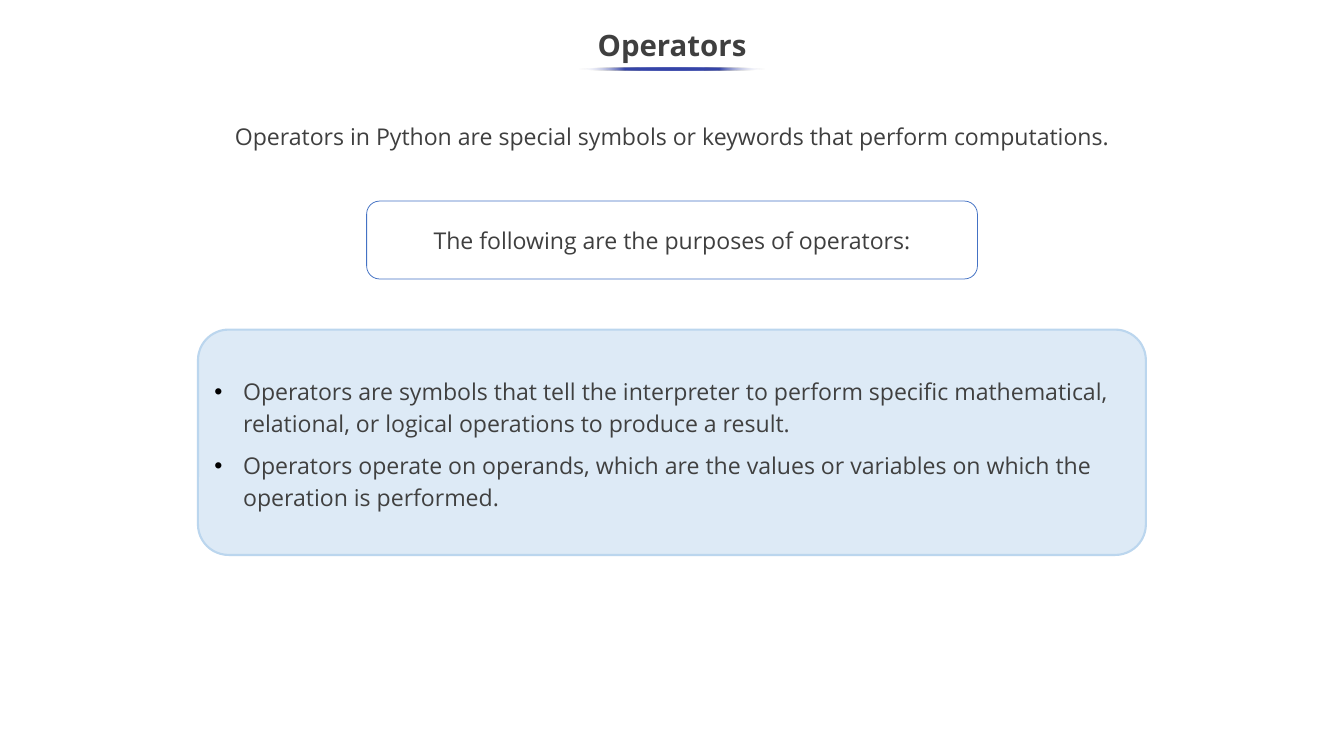
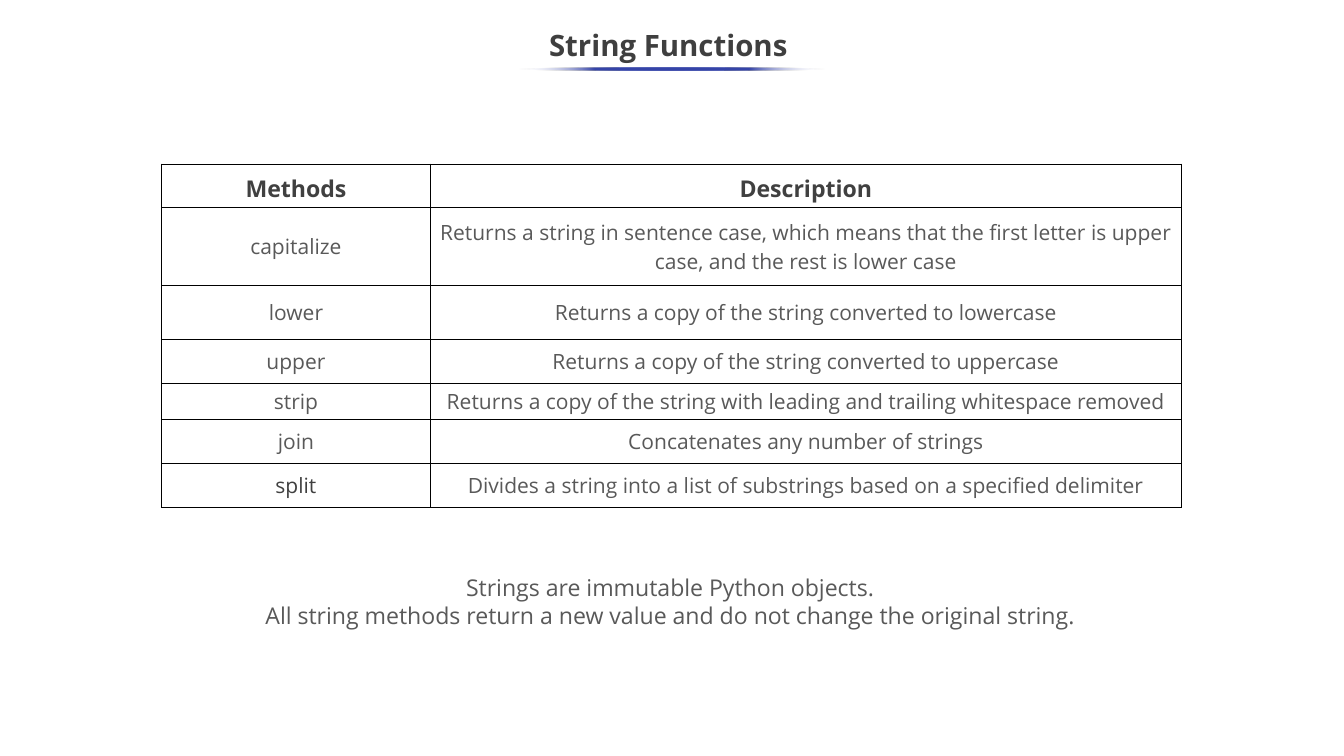
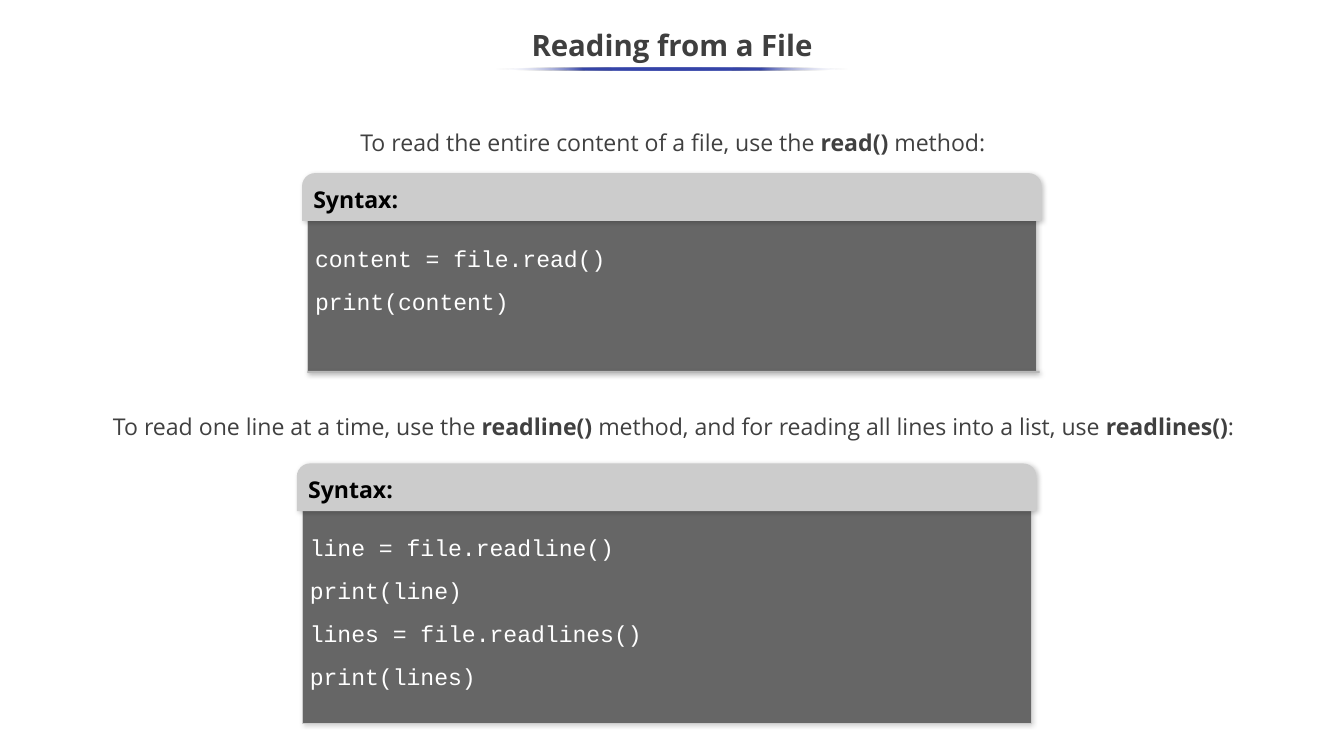
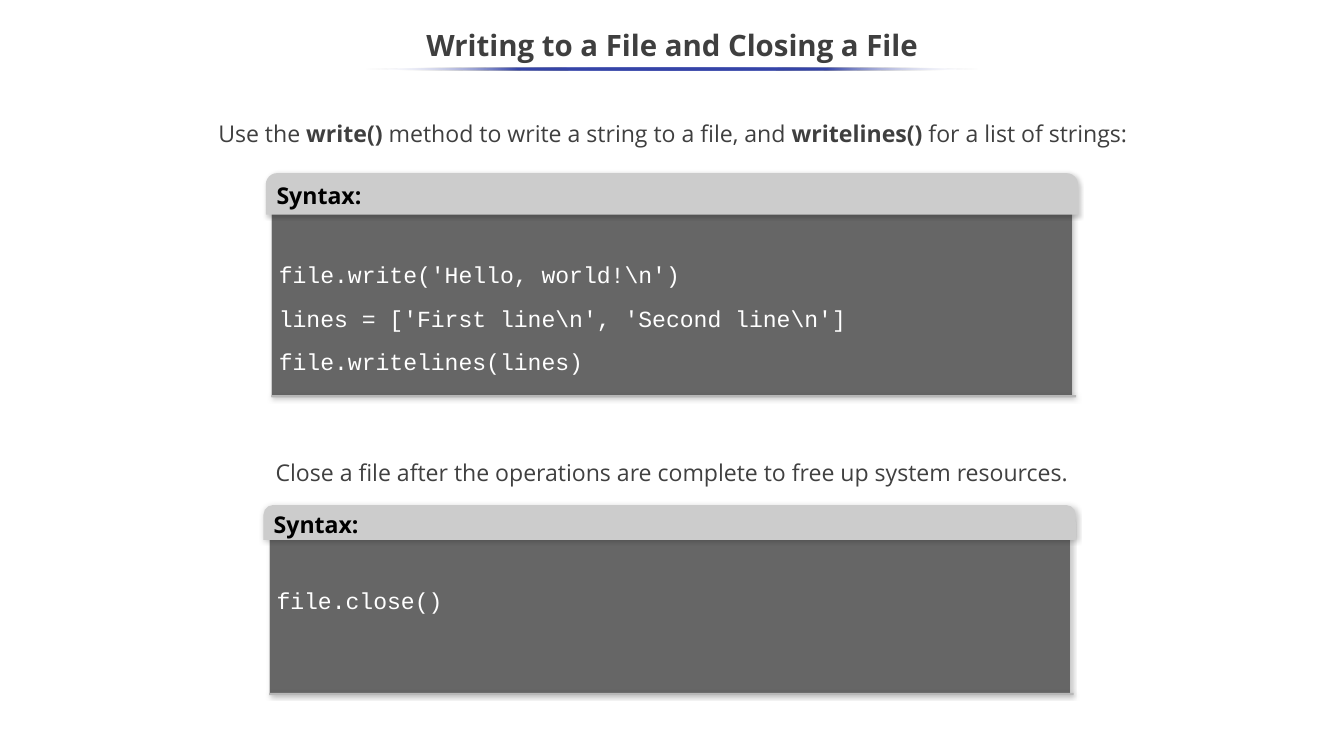
"""Build four slides on Python operators, string methods and file handling."""
from lxml import etree
from pptx import Presentation
from pptx.dml.color import RGBColor
from pptx.enum.shapes import MSO_SHAPE
from pptx.enum.text import MSO_ANCHOR, MSO_AUTO_SIZE, PP_ALIGN
from pptx.oxml.ns import qn
from pptx.util import Pt

TITLE_INK = RGBColor(0x3F, 0x3F, 0x3F)
INK = RGBColor(0x40, 0x40, 0x40)
SOFT_INK = RGBColor(0x59, 0x59, 0x59)
BLACK = RGBColor(0, 0, 0)
WHITE = RGBColor(255, 255, 255)
RULE_BLUE = RGBColor(0x36, 0x45, 0xA9)
OUTLINE_BLUE = RGBColor(0x44, 0x72, 0xC4)
PANEL_BLUE = RGBColor(0xDD, 0xEA, 0xF6)
PANEL_EDGE = RGBColor(0xBB, 0xD6, 0xEE)
CODE_GRAY = RGBColor(0x66, 0x66, 0x66)
HEADER_GRAY = RGBColor(0xCC, 0xCC, 0xCC)
FOOT_GRAY = RGBColor(0xB7, 0xB7, 0xB7)
CENTER, LEFT = PP_ALIGN.CENTER, PP_ALIGN.LEFT
MIDDLE, TOP = MSO_ANCHOR.MIDDLE, MSO_ANCHOR.TOP
NO_AUTOFIT = MSO_AUTO_SIZE.NONE
RECTANGLE, ELLIPSE = MSO_SHAPE.RECTANGLE, MSO_SHAPE.OVAL
ROUNDED, TOP_ROUNDED = MSO_SHAPE.ROUNDED_RECTANGLE, MSO_SHAPE.ROUND_2_SAME_RECTANGLE
SANS, MONO = "Open Sans", "Courier New"
PAGE_WIDTH, PAGE_HEIGHT = 1280.16, 720

OPERATORS_INTRO = "Operators in Python are special symbols or keywords that perform computations."
OPERATORS_LEAD = "The following are the purposes of operators:"
PURPOSES = [
    "Operators are symbols that tell the interpreter to perform specific mathematical, "
    "relational, or logical operations to produce a result.",
    "Operators operate on operands, which are the values or variables on which the "
    "operation is performed.",
]
METHODS = [
    ("Methods", "Description"),
    ("capitalize", "Returns a string in sentence case, which means that the first letter "
                   "is upper case, and the rest is lower case"),
    ("lower", "Returns a copy of the string converted to lowercase"),
    ("upper", "Returns a copy of the string converted to uppercase"),
    ("strip", "Returns a copy of the string with leading and trailing whitespace removed"),
    ("join", "Concatenates any number of strings"),
    ("split", "Divides a string into a list of substrings based on a specified delimiter"),
]
COLUMN_WIDTHS = [255.6, 715.7]
ROW_HEIGHTS = [41.8, 74.2, 51.1, 41.8, 20.2, 41.8, 41.8]
STRING_NOTES = [
    "Strings are immutable Python objects.",
    "All string methods return a new value and do not change the original string.",
]
FILE_SLIDES = [
    {"title": "Reading from a File", "rule": 335.5, "parts": [
        {"text": "To read the entire content of a file, use the |read()| method:",
         "text_box": (101.5, 118.8, 1078.6, 71.3), "inset": 0, "ink": INK,
         "panel": (293, 178.6, 694, 175.7), "header": (164.9, 45.4), "foot": True,
         "code_top": 225.4, "code": ["content = file.read()", "print(content)"]},
        {"text": "To read one line at a time, use the |readline()| method, and for "
                 "reading all lines into a list, use |readlines()|:",
         "text_box": (77.8, 385.2, 1127.5, 36), "inset": 3.6, "ink": INK,
         "panel": (288, 455, 694, 234), "header": (441.4, 45.4), "foot": False,
         "code_top": 500.4, "code": ["line = file.readline()", "print(line)",
                                     "lines = file.readlines()", "print(lines)"]},
    ]},
    {"title": "Writing to a File and Closing a File", "rule": 585.4, "parts": [
        {"text": "Use the |write() |method to write a string to a file, and "
                 "|writelines()| for a list of strings:",
         "text_box": (101.5, 109.4, 1078.6, 71.3), "inset": 0, "ink": TITLE_INK,
         "panel": (258.5, 180, 763.2, 197.3), "header": (164.9, 39.6), "foot": True,
         "code_top": 241.2, "code": [r"file.write('Hello, world!\n')",
                                     r"lines = ['First line\n', 'Second line\n']",
                                     "file.writelines(lines)"]},
        {"text": "Close a file after the operations are complete to free up system resources.",
         "text_box": (127.4, 429.1, 1025.3, 36), "inset": 3.6, "ink": INK,
         "panel": (256.3, 493.9, 763.2, 167), "header": (481, 33.1), "foot": True,
         "code_top": 551, "code": ["file.close()"]},
    ]},
]


def points(*lengths):
    """Turn numbers into point lengths."""
    return [Pt(length) for length in lengths]


def add_element(parent, tag, **attributes):
    """Append a DrawingML element."""
    return etree.SubElement(parent, qn(tag), {name: str(value) for name, value in attributes.items()})


def write(frame, lines, size=22, ink=INK, font=SANS, bold=False, align=CENTER,
          anchor=MIDDLE, spacing=None, before=0, inset=3.6, bullet=False):
    """Fill a text frame; parts between bars are bold."""
    frame.word_wrap = True
    frame.auto_size = NO_AUTOFIT
    frame.vertical_anchor = anchor
    frame.margin_top = frame.margin_bottom = Pt(inset)
    frame.margin_left = frame.margin_right = Pt(7.2)
    write_paragraphs(frame, lines, size, ink, font, bold, align, spacing, before, bullet)


def write_paragraphs(frame, lines, size=22, ink=INK, font=SANS, bold=False, align=CENTER,
                     spacing=None, before=0, bullet=False):
    """Write formatted paragraphs into a text frame."""
    for index, line in enumerate(lines):
        para = frame.add_paragraph() if index else frame.paragraphs[0]
        para.alignment = align
        if spacing:
            para.line_spacing = spacing
        para.space_before = Pt(before if index else 0)
        if bullet:
            properties = para._p.get_or_add_pPr()
            properties.set("marL", str(Pt(27.4)))
            properties.set("indent", str(-Pt(27.4)))
            add_element(add_element(properties, "a:buClr"), "a:srgbClr", val=BLACK)
            add_element(properties, "a:buFont", typeface="Arial")
            add_element(properties, "a:buChar", char="•")
        for part, text in enumerate(line.split("|")):
            span = para.add_run()
            span.text = text
            span.font.name, span.font.size = font, Pt(size)
            span.font.bold = bold or part % 2 == 1
            span.font.color.rgb = ink


def add_box(shapes, kind, place, fill=None, line=None, line_width=0.75, corners=(), shadow=False):
    """Draw a preset shape."""
    box = shapes.add_shape(kind, *points(*place))
    box.shadow.inherit = False
    for index, corner in enumerate(corners):
        box.adjustments[index] = corner
    if fill is None:
        box.fill.background()
    else:
        box.fill.solid()
        box.fill.fore_color.rgb = fill
    if line is None:
        box.line.fill.background()
    else:
        box.line.color.rgb = line
        box.line.width = Pt(line_width)
    if shadow:
        effects = box._element.spPr.find(qn("a:effectLst"))
        outer = add_element(effects, "a:outerShdw", blurRad=Pt(4.5), dist=Pt(1.5),
                            dir=47 * 60000, algn="tl", rotWithShape=0)
        add_element(add_element(outer, "a:srgbClr", val=BLACK), "a:alpha", val=20000)
    return box


def add_text(shapes, place, lines, **style):
    """Add a text box."""
    write(shapes.add_textbox(*points(*place)).text_frame, lines, **style)


def add_rule(page, width):
    """Draw the fading line below the title."""
    rule = add_box(page.shapes, ELLIPSE, ((PAGE_WIDTH - width) / 2, 64.1, width, 2.9))
    properties = rule._element.spPr
    gradient = etree.Element(qn("a:gradFill"), rotWithShape="1")
    stops = add_element(gradient, "a:gsLst")
    for position in range(0, 101, 25):
        faded = position in (0, 100)
        stop = add_element(stops, "a:gs", pos=position * 1000)
        color = add_element(stop, "a:srgbClr", val=WHITE if faded else RULE_BLUE)
        if faded:
            add_element(color, "a:alpha", val=0)
    add_element(gradient, "a:lin", ang=180 * 60000, scaled=0)
    properties.replace(properties.find(qn("a:noFill")), gradient)


def add_page(deck, title, rule_width):
    """Add a slide with its title and rule."""
    page = deck.slides.add_slide(deck.slide_layouts[5])
    heading = page.shapes.title
    heading.left, heading.top, heading.width, heading.height = points(-0.7, 18, 1281.6, 54)
    write(heading.text_frame, [title], size=28, ink=TITLE_INK, bold=True, spacing=0.9)
    add_rule(page, rule_width)
    return page


def add_code(page, part):
    """Draw a syntax panel with header, foot and code."""
    left, top, width, height = part["panel"]
    header_top, header_height = part["header"]
    shapes = page.shapes.add_group_shape().shapes
    add_box(shapes, RECTANGLE, part["panel"], CODE_GRAY, HEADER_GRAY, shadow=True)
    header = add_box(shapes, TOP_ROUNDED, (left - 5.3, header_top, width + 10.5, header_height),
                     HEADER_GRAY, corners=(0.275, 0), shadow=True)
    write(header.text_frame, ["Syntax:"], ink=BLACK, bold=True, align=LEFT, inset=7.2)
    if part["foot"]:
        add_box(shapes, RECTANGLE, (left, top + height - 1, width + 3.3, 2.2), FOOT_GRAY, shadow=True)
    add_text(shapes, (left, part["code_top"], width, 41 * len(part["code"])), part["code"],
             ink=WHITE, font=MONO, align=LEFT, anchor=TOP, spacing=1.14, before=11)


def add_methods(page):
    """Add the ruled table of string methods."""
    table = page.shapes.add_table(len(METHODS), 2, *points(
        154.1, 156.2, sum(COLUMN_WIDTHS), sum(ROW_HEIGHTS))).table
    table.first_row = table.horz_banding = False
    for column, width in zip(table.columns, COLUMN_WIDTHS):
        column.width = Pt(width)
    for row, height in zip(table.rows, ROW_HEIGHTS):
        row.height = Pt(height)
    for row, texts in enumerate(METHODS):
        for column, text in enumerate(texts):
            cell = table.cell(row, column)
            cell.vertical_anchor = MIDDLE
            if row == 0:
                style = {"bold": True, "spacing": 1.15}
            else:
                style = {"size": 20, "ink": INK if text == "split" else SOFT_INK}
            write_paragraphs(cell.text_frame, [text], **style)
            properties = cell._tc.get_or_add_tcPr()
            for side in ("a:lnL", "a:lnR", "a:lnT", "a:lnB"):
                border = add_element(properties, side, w=Pt(1))
                add_element(add_element(border, "a:solidFill"), "a:srgbClr", val=BLACK)
            cell.fill.background()


def main():
    """Build and save the deck."""
    deck = Presentation()
    deck.slide_width, deck.slide_height = points(PAGE_WIDTH, PAGE_HEIGHT)

    page = add_page(deck, "Operators", 177.8)
    add_text(page.shapes, (100.1, 92.9, 1080, 74.2), [OPERATORS_INTRO], ink=TITLE_INK)
    lead = add_box(page.shapes, ROUNDED, (349.2, 191.5, 581.8, 74.2), line=OUTLINE_BLUE)
    write(lead.text_frame, [OPERATORS_LEAD], ink=TITLE_INK)
    panel = add_box(page.shapes, ROUNDED, (188.6, 313.9, 902.9, 214.6), PANEL_BLUE,
                    PANEL_EDGE, line_width=2, corners=(0.136,))
    write(panel.text_frame, PURPOSES, align=LEFT, spacing=1.15, before=10, bullet=True)

    page = add_page(deck, "String Functions ", 293)
    add_methods(page)
    add_text(page.shapes, (229, 542.9, 818.6, 60.5), STRING_NOTES, ink=SOFT_INK, anchor=TOP)

    for content in FILE_SLIDES:
        page = add_page(deck, content["title"], content["rule"])
        for part in content["parts"]:
            add_text(page.shapes, part["text_box"], [part["text"]], ink=part["ink"],
                     anchor=TOP, spacing=1.15, inset=part["inset"])
            add_code(page, part)

    deck.save("out.pptx")


if __name__ == "__main__":
    main()
